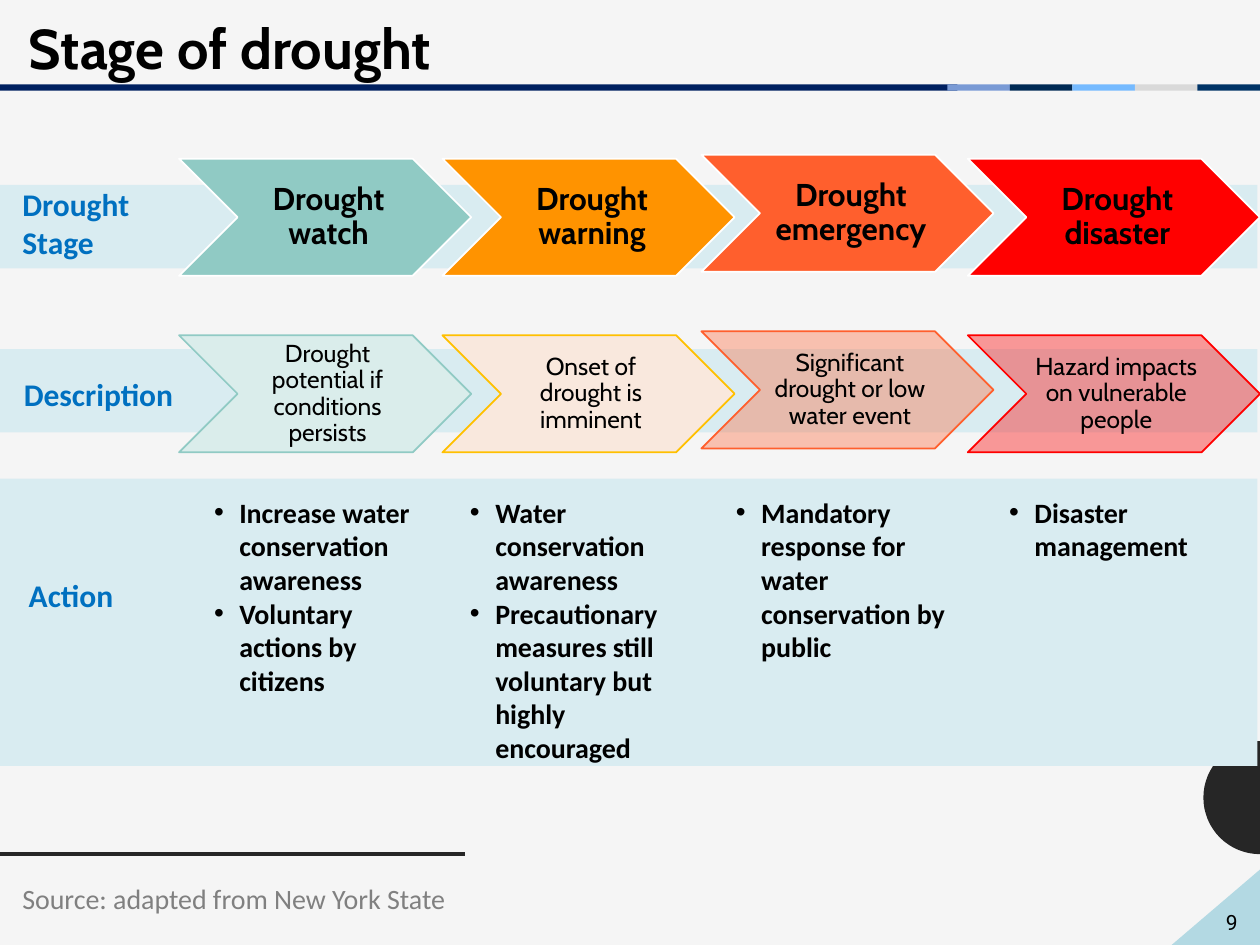
from dataclasses import dataclass
from math import cos, pi, sin

from lxml.etree import SubElement
from pptx import Presentation
from pptx.dml.color import RGBColor
from pptx.enum.shapes import MSO_CONNECTOR, MSO_SHAPE as Preset
from pptx.enum.text import MSO_ANCHOR as Anchor, MSO_AUTO_SIZE as AutoSize, PP_ALIGN as Align
from pptx.oxml.ns import qn
from pptx.util import Cm, Pt

BLACK = RGBColor(0x00, 0x00, 0x00)
WHITE = RGBColor(0xFF, 0xFF, 0xFF)
PAPER = RGBColor(0xF5, 0xF5, 0xF5)
CHARCOAL = RGBColor(0x26, 0x26, 0x26)
GREY = RGBColor(0x80, 0x80, 0x80)
BAND_BLUE = RGBColor(0xD9, 0xEC, 0xF1)
CORNER_BLUE = RGBColor(0xB3, 0xD9, 0xE3)
LABEL_BLUE = RGBColor(0x00, 0x70, 0xC0)
NAVY = RGBColor(0x00, 0x20, 0x60)
ACCENTS = (
    RGBColor(0x79, 0x9A, 0xD5),
    RGBColor(0x00, 0x2A, 0x54),
    RGBColor(0x75, 0xBA, 0xFF),
    RGBColor(0xD9, 0xD9, 0xD9),
    RGBColor(0x00, 0x33, 0x66),
)
TEAL = RGBColor(0x90, 0xCA, 0xC4)
PALE_TEAL = RGBColor(0xDA, 0xED, 0xEB)
ORANGE = RGBColor(0xFF, 0x93, 0x00)
AMBER = RGBColor(0xFF, 0xC0, 0x00)
PALE_ORANGE = RGBColor(0xF9, 0xE8, 0xDD)
VERMILION = RGBColor(0xFF, 0x5F, 0x2D)
RED = RGBColor(0xFF, 0x00, 0x00)

SLIDE_WIDTH, SLIDE_HEIGHT = 25.4, 19.05
STAGE_TOP, DESCRIPTION_TOP, ACTION_TOP = 3.2, 6.76, 9.86


@dataclass
class Stage:
    name: str
    description: str
    actions: tuple[str, ...]
    left: float
    list_left: float
    list_height: float
    color: RGBColor
    pale: RGBColor
    border: RGBColor
    opacity: int = 100
    lift: float = 0


@dataclass
class Label:
    text: str
    left: float
    top: float
    width: float
    height: float
    band_top: float
    band_height: float


STAGES = (
    Stage("Drought watch", "Drought potential if conditions persists",
          ("Increase water conservation awareness", "Voluntary actions by citizens"),
          3.61, 4.06, 4.37, TEAL, PALE_TEAL, TEAL),
    Stage("Drought warning", "Onset of drought is imminent",
          ("Water conservation awareness",
           "Precautionary measures still voluntary but highly encouraged"),
          8.92, 9.22, 5.74, ORANGE, PALE_ORANGE, AMBER),
    Stage("Drought emergency", "Significant drought or low water event",
          ("Mandatory response for water conservation by public",),
          14.14, 14.58, 3.68, VERMILION, VERMILION, VERMILION, 35, 0.08),
    Stage("Drought disaster", "Hazard impacts on vulnerable people",
          ("Disaster management",),
          19.51, 20.09, 2.31, RED, RED, RED, 38),
)
LABELS = (
    Label("Drought Stage", 0.2, 3.61, 3.15, 1.8, 3.73, 1.68),
    Label("Description", 0.23, 7.44, 4.06, 1.02, 7.04, 1.68),
    Label("Action", 0.33, 11.48, 3.15, 1.02, 9.65, 5.79),
)


def set_font(paragraph, name: str, size: int, color: RGBColor, bold: bool = False) -> None:
    font = paragraph.font
    font.name, font.size, font.bold = name, Pt(size), bold
    font.color.rgb = color


def place(shape, left: float, top: float, width: float, height: float) -> None:
    shape.left, shape.top, shape.width, shape.height = map(Cm, (left, top, width, height))


def paint(shape, color: RGBColor) -> None:
    shape.shadow.inherit = False
    shape.fill.solid()
    shape.fill.fore_color.rgb = color
    shape.line.fill.background()


def add_bar(slide, left: float, top: float, width: float, height: float, color: RGBColor) -> None:
    bar = slide.shapes.add_shape(Preset.RECTANGLE, Cm(left), Cm(top), Cm(width), Cm(height))
    paint(bar, color)


def add_outline(slide, points: list[tuple[float, float]], color: RGBColor) -> None:
    corners = [(Cm(x), Cm(y)) for x, y in points]
    builder = slide.shapes.build_freeform(*corners[0])
    builder.add_line_segments(corners[1:])
    paint(builder.convert_to_shape(), color)


def add_text(slide, text: str, left: float, top: float, width: float, height: float,
             font: str, size: int, color: RGBColor, bold: bool = False, wrap: bool = True):
    box = slide.shapes.add_textbox(Cm(left), Cm(top), Cm(width), Cm(height))
    frame = box.text_frame
    frame.text = text
    frame.word_wrap = wrap
    set_font(frame.paragraphs[0], font, size, color, bold)
    return frame


def add_chevron(slide, text: str, left: float, top: float, fill: RGBColor, border: RGBColor,
                size: int, bold: bool, inset: float, opacity: int = 100) -> None:
    chevron = slide.shapes.add_shape(Preset.CHEVRON, Cm(left), Cm(top), Cm(5.89), Cm(2.36))
    paint(chevron, fill)
    if opacity < 100:
        color = chevron.element.spPr.find(qn("a:solidFill"))[0]
        SubElement(color, qn("a:alpha"), val=str(opacity * 1000))
    chevron.line.color.rgb = border
    chevron.line.width = Pt(1)
    frame = chevron.text_frame
    frame.text = text
    frame.word_wrap = True
    frame.vertical_anchor = Anchor.MIDDLE
    frame.margin_left = Cm(3 * inset)
    frame.margin_top = frame.margin_right = frame.margin_bottom = Cm(inset)
    paragraph = frame.paragraphs[0]
    paragraph.alignment = Align.CENTER
    paragraph.line_spacing = 0.9
    set_font(paragraph, "Cabin", size, BLACK, bold)


def fill_actions(slide, body, stage: Stage) -> None:
    slide.shapes.element.append(body.element)
    place(body, stage.list_left, ACTION_TOP, 4.93, stage.list_height)
    frame = body.text_frame
    frame.text = "\n".join(stage.actions)
    frame.auto_size = AutoSize.NONE
    frame.vertical_anchor = Anchor.TOP
    for paragraph in frame.paragraphs:
        properties = paragraph._p.get_or_add_pPr()
        properties.set("marL", str(Cm(0.51)))
        properties.set("indent", str(-Cm(0.51)))
        SubElement(properties, qn("a:buFont"), typeface="Arial")
        SubElement(properties, qn("a:buChar"), char="•")
        paragraph.space_before = Pt(0)
        set_font(paragraph, "Calibri", 16, BLACK, True)


def add_decoration(slide) -> None:
    center_y, radius, steps = 16.08, 1.14, 32
    angles = [pi / 2 + pi * step / steps for step in range(steps + 1)]
    add_outline(slide, [(SLIDE_WIDTH + radius * cos(angle), center_y + radius * sin(angle))
                        for angle in angles], CHARCOAL)
    rule = slide.shapes.add_connector(
        MSO_CONNECTOR.STRAIGHT, Cm(0), Cm(17.22), Cm(9.37), Cm(17.22))
    rule.line.color.rgb = CHARCOAL
    rule.line.width = Pt(2)
    SubElement(rule.element.spPr, qn("a:effectLst"))


def add_heading(slide) -> None:
    title = slide.shapes.title
    place(title, 0.33, 0.05, 21.84, 1.8)
    frame = title.text_frame
    frame.text = "Stage of drought"
    frame.auto_size = AutoSize.NONE
    frame.vertical_anchor = Anchor.MIDDLE
    frame.paragraphs[0].alignment = Align.LEFT
    set_font(frame.paragraphs[0], "Cabin", 32, BLACK, True)
    add_bar(slide, 0, 1.7, 19.3, 0.13, NAVY)
    accent_width = 1.26
    for index, color in enumerate(ACCENTS):
        add_bar(slide, 19.1 + index * accent_width, 1.7, accent_width, 0.13, color)


def add_page_number(slide) -> None:
    add_outline(slide, [(SLIDE_WIDTH, 17.53), (SLIDE_WIDTH, SLIDE_HEIGHT),
                        (23.62, SLIDE_HEIGHT)], CORNER_BLUE)
    frame = add_text(slide, "9", 21.21, 18.01, 3.99, 1.14, "Roboto", 12, BLACK)
    frame.vertical_anchor = Anchor.MIDDLE
    frame.paragraphs[0].alignment = Align.RIGHT


def main() -> None:
    presentation = Presentation()
    presentation.slide_width, presentation.slide_height = Cm(SLIDE_WIDTH), Cm(SLIDE_HEIGHT)
    slide = presentation.slides.add_slide(presentation.slide_layouts.get_by_name("Comparison"))
    slide.background.fill.solid()
    slide.background.fill.fore_color.rgb = PAPER
    bodies = list(slide.placeholders)[1:]

    add_decoration(slide)
    for label in LABELS:
        add_bar(slide, 0, label.band_top, 25.35, label.band_height, BAND_BLUE)
    add_heading(slide)
    for stage, body in zip(STAGES, bodies):
        add_chevron(slide, stage.name, stage.left, STAGE_TOP - stage.lift,
                    stage.color, WHITE, 18, True, 0.07)
        add_chevron(slide, stage.description, stage.left, DESCRIPTION_TOP - stage.lift,
                    stage.pale, stage.border, 14, False, 0.05, stage.opacity)
        fill_actions(slide, body, stage)
    for label in LABELS:
        add_text(slide, label.text, label.left, label.top, label.width, label.height,
                 "Calibri", 18, LABEL_BLUE, True)
    add_text(slide, "Source: adapted from New York State", 0.2, 17.65, 9.3, 0.94,
             "Calibri", 16, GREY, wrap=False)
    add_page_number(slide)
    presentation.save("out.pptx")


if __name__ == "__main__":
    main()
